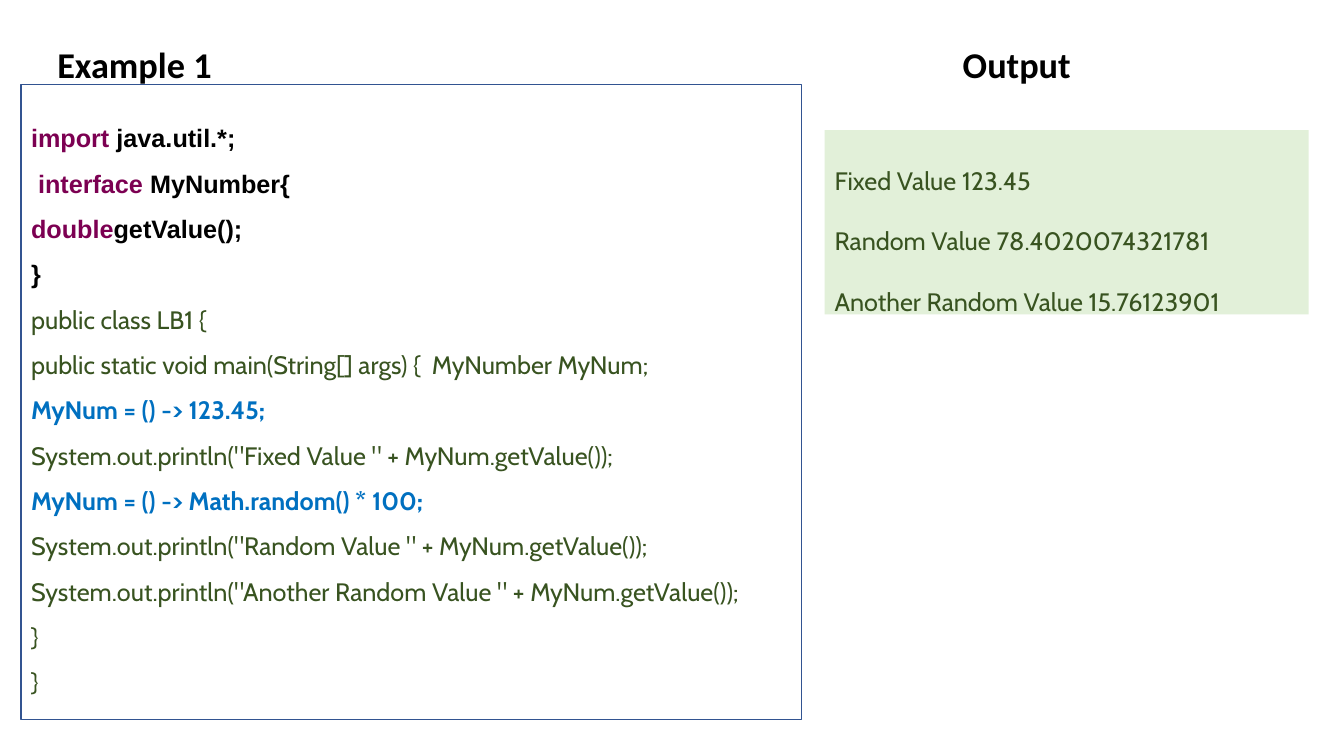
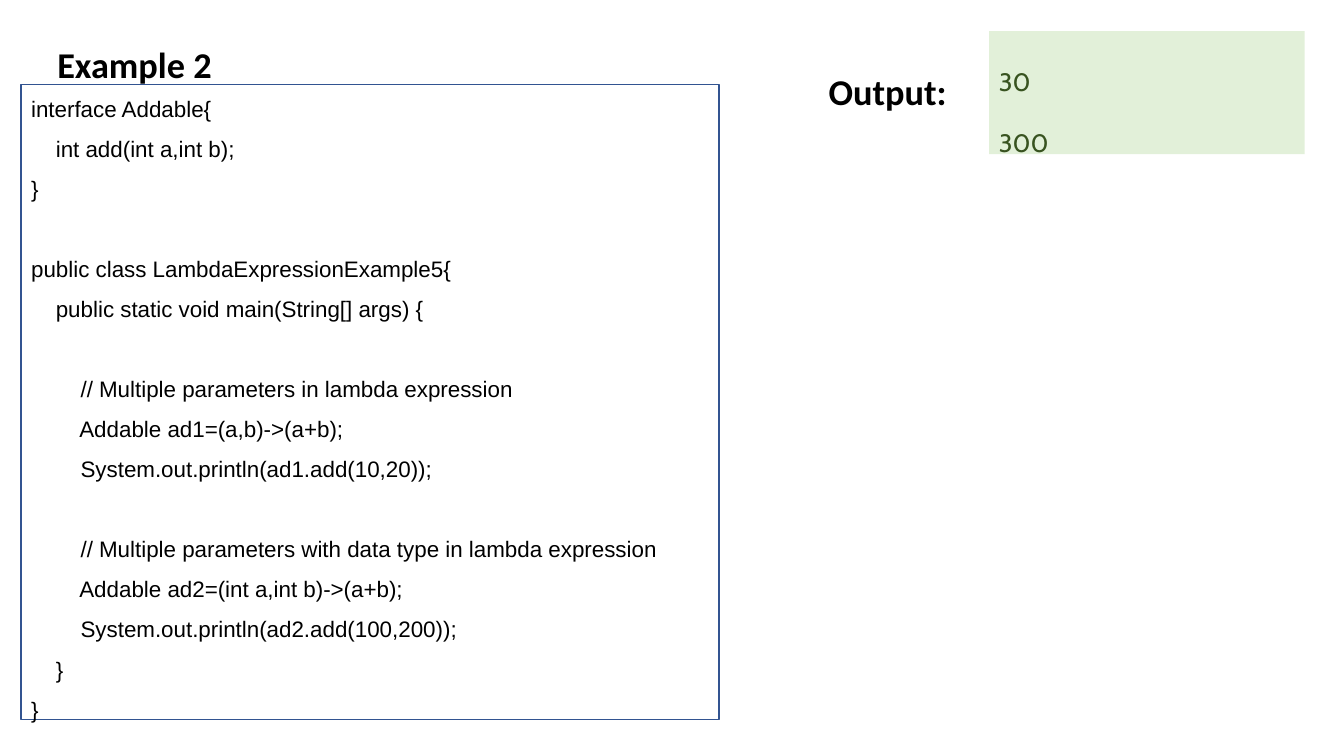
import pptx
import pptx.dml.color
import pptx.enum.shapes
import pptx.enum.text
import pptx.util

Inches = pptx.util.Inches
Pt = pptx.util.Pt
ANCHOR = pptx.enum.text.MSO_ANCHOR

COLOURS = {
    "white": "FFFFFF", "black": "000000", "frame": "325491",
    "keyword": "7C0052", "code": "385320", "lambda": "0070C0",
    "output": "E2F0D9",
}

# Each style is a colour name and the font attributes that go with it.
STYLES = {
    "heading": ("black", {"name": "Calibri", "size": Pt(25.9), "bold": True}),
    "keyword": ("keyword", {"name": "Arial", "size": Pt(18), "bold": True}),
    "strong": ("black", {"name": "Arial", "size": Pt(18), "bold": True}),
    "code": ("code", {"name": "Cabin", "size": Pt(18), "bold": False}),
    "lambda": ("lambda", {"name": "Cabin", "size": Pt(18), "bold": True}),
    "plain": ("black", {"name": "Arial", "size": Pt(16), "bold": False}),
}

HEADING_SIZE = (3.68, 0.74)
CODE_LEFT, CODE_TOP, CODE_HEIGHT = 0.21, 0.84, 6.3
SKIPPED_LINE = Pt(28)

NUMBER_CODE = [
    [("import ", "keyword"), ("java.util.*;", "strong")],
    [(" interface ", "keyword"), ("MyNumber{", "strong")],
    [("double", "keyword"), ("getValue();", "strong")],
    [("}", "strong")],
    [("public class LB1 {", "code")],
    [("public static void main(String[] args) {  MyNumber MyNum;", "code")],
    [("MyNum = () -> 123.45;", "lambda")],
    [('System.out.println("Fixed Value " + MyNum.getValue());', "code")],
    [("MyNum = () -> Math.random() * 100;", "lambda")],
    [('System.out.println("Random Value " + MyNum.getValue());', "code")],
    [('System.out.println("Another Random Value " + MyNum.getValue());', "code")],
    [("}", "code")],
    [("}", "code")],
]

ADDABLE_CODE = """\
interface Addable{
    int add(int a,int b);
}

public class LambdaExpressionExample5{
    public static void main(String[] args) {

        // Multiple parameters in lambda expression
        Addable ad1=(a,b)->(a+b);
        System.out.println(ad1.add(10,20));

        // Multiple parameters with data type in lambda expression
        Addable ad2=(int a,int b)->(a+b);
        System.out.println(ad2.add(100,200));
    }
}"""


def rgb(colour):
    return pptx.dml.color.RGBColor.from_string(COLOURS[colour])


def in_style(text, style):
    """Turn plain text into lines of one run each; blank lines stay empty."""
    return [[(line, style)] if line else [] for line in text.splitlines()]


def write_lines(frame, lines, spacing):
    """Write one paragraph a line; an empty line becomes space before the next."""
    frame.word_wrap = True
    paragraph, skipped = None, False
    for line in lines:
        if not line:
            skipped = True
            continue
        paragraph = frame.add_paragraph() if paragraph else frame.paragraphs[0]
        paragraph.alignment = pptx.enum.text.PP_ALIGN.LEFT
        paragraph.line_spacing = spacing
        if skipped:
            paragraph.space_before = SKIPPED_LINE
            skipped = False
        for text, style in line:
            run = paragraph.add_run()
            run.text = text
            colour, formats = STYLES[style]
            run.font.color.rgb = rgb(colour)
            for attribute, value in formats.items():
                setattr(run.font, attribute, value)


def add_heading(slide, text, left, top=0.2):
    heading = slide.shapes.add_textbox(*map(Inches, (left, top, *HEADING_SIZE)))
    write_lines(heading.text_frame, in_style(text, "heading"), 1.4)


def add_panel(slide, box, fill, lines, spacing, anchor, outline=None):
    panel = slide.shapes.add_shape(
        pptx.enum.shapes.MSO_SHAPE.RECTANGLE, *map(Inches, box))
    panel.shadow.inherit = False
    panel.fill.solid()
    panel.fill.fore_color.rgb = rgb(fill)
    if outline:
        panel.line.color.rgb = rgb(outline)
        panel.line.width = Pt(1)
    else:
        panel.line.fill.background()
    panel.text_frame.vertical_anchor = anchor
    write_lines(panel.text_frame, lines, spacing)


def add_code(slide, width, lines):
    box = (CODE_LEFT, CODE_TOP, width, CODE_HEIGHT)
    add_panel(slide, box, "white", lines, 1.5, ANCHOR.MIDDLE, "frame")


def add_output(slide, box, text):
    add_panel(slide, box, "output", in_style(text, "code"), 2.0, ANCHOR.TOP)


def add_example(deck, title, code_width, code):
    slide = deck.slides.add_slide(deck.slide_layouts[6])
    add_code(slide, code_width, code)
    add_heading(slide, title, 0.47)
    return slide


def main():
    deck = pptx.Presentation()
    deck.slide_width, deck.slide_height = Inches(13.33), Inches(7.5)

    numbers = add_example(deck, "Example 1", 7.74, NUMBER_CODE)
    add_heading(numbers, "Output", 9.45)
    add_output(numbers, (8.18, 1.29, 4.8, 1.83),
               "Fixed Value 123.45\n"
               "Random Value 78.4020074321781\n"
               "Another Random Value 15.76123901")

    sums = add_example(deck, "Example 2", 6.92, in_style(ADDABLE_CODE, "plain"))
    add_heading(sums, "Output:", 8.12, 0.47)
    add_output(sums, (9.81, 0.31, 3.13, 1.22), "30\n300")

    deck.save("out.pptx")


if __name__ == "__main__":
    main()
